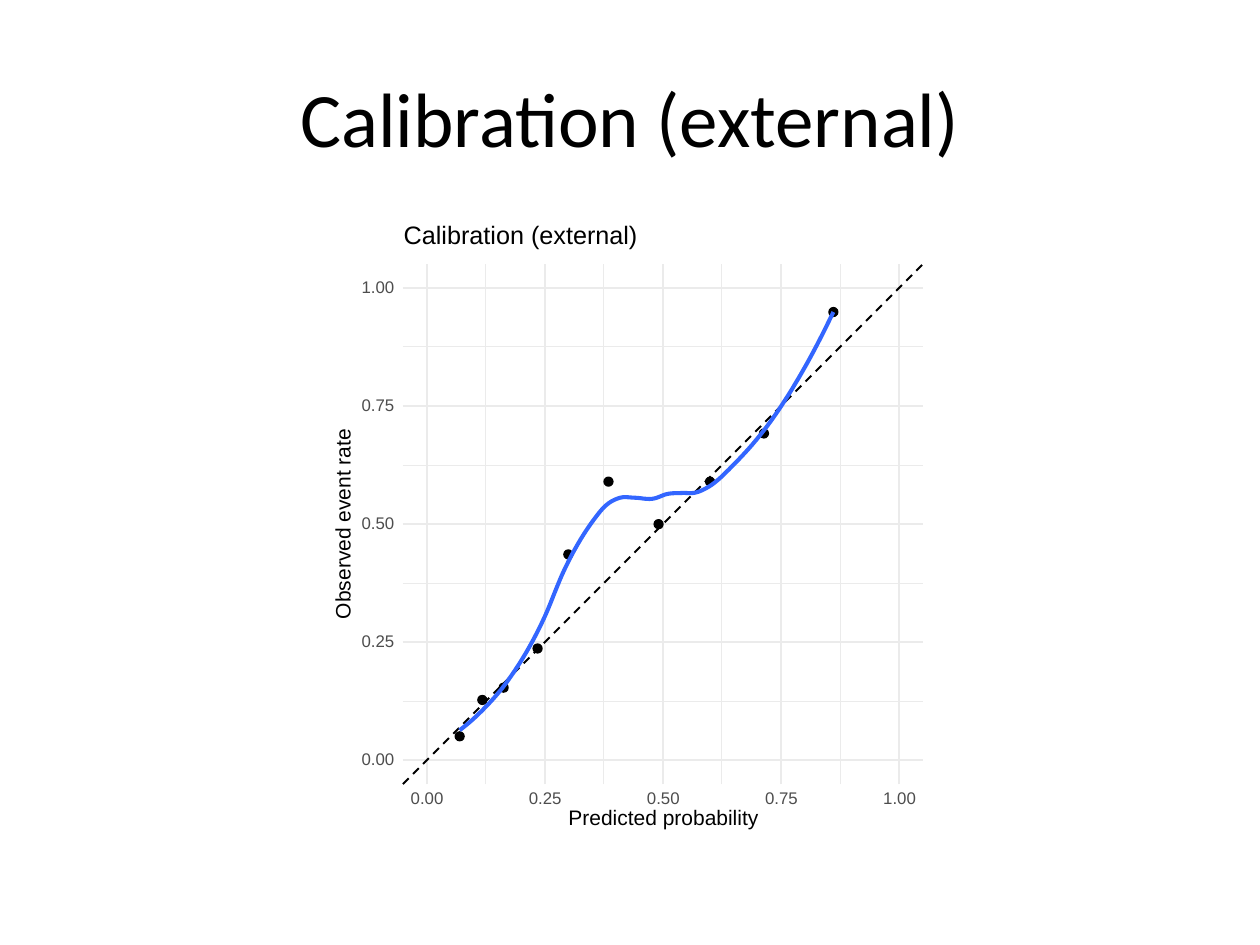
from dataclasses import dataclass
from itertools import pairwise
from typing import Any, NamedTuple

from lxml import etree
from pptx import Presentation
from pptx import util as u
from pptx.dml.color import RGBColor
from pptx.enum import dml, shapes, text
from pptx.oxml.ns import qn

COLORS = {
    "paper": "FFFFFF",
    "grid": "EBEBEB",
    "ink": "000000",
    "tick": "4D4D4D",
    "curve": "3366FF",
}


class Rate(NamedTuple):
    predicted: float
    observed: float


ORIGIN_X, ORIGIN_Y = 8.6, 15.33
CM_PER_PERCENT = 0.09525
LOW, HIGH = -5, 105
TICK_STEP = 25
MAJOR = [index * TICK_STEP for index in range(5)]
MINOR = [(before + after) / 2 for before, after in pairwise(MAJOR)]
DOT = 0.18
STEPS_PER_SPAN = 10

POINTS = [Rate(*pair) for pair in (
    (7, 5.1), (11.8, 12.8), (16.3, 15.4), (23.5, 23.7), (30, 43.6),
    (38.5, 59), (49.1, 50), (60, 59), (71.4, 69.2), (86.1, 94.9),
)]
KNOTS = [Rate(*pair) for pair in (
    (7, 6.4), (12, 10.8), (17, 16.6), (25, 30.4), (29, 40), (35, 50.4),
    (38, 54), (41, 55.6), (44, 55.6), (48, 55.4), (51, 56.4), (54, 56.6),
    (57, 56.7), (60, 58.1), (65, 62.6), (73, 72), (80, 83.1), (86.1, 94.9),
)]


@dataclass
class Label:
    words: str
    left: float
    top: float
    width: float
    height: float
    size: float
    color: str = "ink"
    font: str = "Arial"
    rotation: int = 0
    wrap: bool = False
    align: Any = text.PP_ALIGN.LEFT
    spacing: Any = None


@dataclass
class Stroke:
    start: Rate
    end: Rate
    color: str
    width: float
    dash: Any = None


def apply(target: Any, values: dict[str, Any]) -> None:
    for name, value in values.items():
        setattr(target, name, value)


def rgb(name: str) -> RGBColor:
    return RGBColor.from_string(COLORS[name])


def place(rate: Rate) -> tuple[u.Length, u.Length]:
    return (u.Cm(ORIGIN_X + rate.predicted * CM_PER_PERCENT),
            u.Cm(ORIGIN_Y - rate.observed * CM_PER_PERCENT))


def set_line(line: Any, color: str, width: float) -> None:
    line.color.rgb = rgb(color)
    line.width = u.Pt(width)


def set_fill(shape: Any, color: str) -> None:
    shape.shadow.inherit = False
    shape.fill.solid()
    shape.fill.fore_color.rgb = rgb(color)


def knot_slopes(knots: list[Rate]) -> list[float]:
    gaps = [after.predicted - before.predicted for before, after in pairwise(knots)]
    rises = [after.observed - before.observed for before, after in pairwise(knots)]
    secants = [rise / gap for rise, gap in zip(rises, gaps)]
    inner = [
        (gaps[i + 1] * secants[i] + gaps[i] * secants[i + 1]) / (gaps[i] + gaps[i + 1])
        for i in range(len(gaps) - 1)
    ]
    return [2 * secants[0] - inner[0], *inner, 2 * secants[-1] - inner[-1]]


def smooth_curve(knots: list[Rate]) -> list[Rate]:
    curve = [knots[0]]
    for (start, slope_in), (end, slope_out) in pairwise(zip(knots, knot_slopes(knots))):
        gap = end.predicted - start.predicted
        for step in range(1, STEPS_PER_SPAN + 1):
            t = step / STEPS_PER_SPAN
            blend = t * t * (3 - 2 * t)
            bend = gap * t * (1 - t) * (slope_in * (1 - t) - slope_out * t)
            height = start.observed + (end.observed - start.observed) * blend + bend
            curve.append(Rate(start.predicted + gap * t, height))
    return curve


def add_label(page: Any, label: Label) -> None:
    box = page.shapes.add_textbox(
        u.Cm(label.left), u.Cm(label.top), u.Cm(label.width), u.Cm(label.height)
    )
    box.rotation = label.rotation
    apply(box.text_frame, {
        "margin_left": 0, "margin_right": 0, "margin_top": 0, "margin_bottom": 0,
        "word_wrap": label.wrap, "vertical_anchor": text.MSO_ANCHOR.MIDDLE,
    })
    para = box.text_frame.paragraphs[0]
    apply(para, {"alignment": label.align, "line_spacing": label.spacing or u.Pt(label.size)})
    span = para.add_run()
    span.text = label.words
    apply(span.font, {"name": label.font, "size": u.Pt(label.size)})
    span.font.color.rgb = rgb(label.color)


def add_stroke(page: Any, stroke: Stroke) -> None:
    connector = page.shapes.add_connector(
        shapes.MSO_CONNECTOR.STRAIGHT, *place(stroke.start), *place(stroke.end)
    )
    set_line(connector.line, stroke.color, stroke.width)
    if stroke.dash:
        connector.line.dash_style = stroke.dash
    etree.SubElement(connector._element.spPr, qn("a:effectLst"))


def add_panel(page: Any, left: float, width: float, outlined: bool) -> None:
    panel = page.shapes.add_shape(
        shapes.MSO_SHAPE.RECTANGLE, u.Cm(left), u.Cm(4.45), u.Cm(width), u.Cm(12.57)
    )
    set_fill(panel, "paper")
    if outlined:
        set_line(panel.line, "paper", 0.75)
    else:
        panel.line.fill.background()


def add_grid(page: Any, values: list[float], width: float) -> None:
    for value in values:
        add_stroke(page, Stroke(Rate(LOW, value), Rate(HIGH, value), "grid", width))
    for value in values:
        add_stroke(page, Stroke(Rate(value, LOW), Rate(value, HIGH), "grid", width))


def add_dot(page: Any, point: Rate) -> None:
    size = u.Cm(DOT)
    left, top = (center - size // 2 for center in place(point))
    dot = page.shapes.add_shape(shapes.MSO_SHAPE.OVAL, left, top, size, size)
    set_fill(dot, "ink")
    set_line(dot.line, "ink", 0.77)


def add_curve(page: Any, knots: list[Rate]) -> None:
    first, *rest = map(place, smooth_curve(knots))
    builder = page.shapes.build_freeform(*first)
    builder.add_line_segments(rest, close=False)
    curve = builder.convert_to_shape()
    curve.shadow.inherit = False
    curve.fill.background()
    set_line(curve.line, "curve", 2.33)


def add_ticks(page: Any, value: float) -> None:
    words = f"{value / 100:.2f}"
    offset = value * CM_PER_PERCENT
    for left, top in ((7.29, ORIGIN_Y - offset - 0.12), (ORIGIN_X + offset - 0.32, 16)):
        add_label(page, Label(words, left, top, 0.66, 0.25, 9.6, "tick"))


def main() -> None:
    deck = Presentation()
    apply(deck, {"slide_width": u.Cm(25.4), "slide_height": u.Cm(19.05)})
    page = deck.slides.add_slide(deck.slide_layouts[6])

    add_label(page, Label("Calibration (external)", 1.27, 0.76, 22.86, 3.18, 44,
                          font="Calibri", wrap=True, align=text.PP_ALIGN.CENTER, spacing=1.0))
    add_panel(page, 1.27, 22.86, True)
    add_panel(page, 6.58, 12.24, False)
    add_grid(page, MINOR, 0.58)
    add_grid(page, MAJOR, 1.16)
    add_stroke(page, Stroke(Rate(LOW, LOW), Rate(HIGH, HIGH), "ink", 1.16, dml.MSO_LINE.DASH))
    for point in POINTS:
        add_dot(page, point)
    add_curve(page, KNOTS)
    for value in MAJOR:
        add_ticks(page, value)

    add_label(page, Label("Predicted probability", 11.46, 16.33, 3.84, 0.38, 12))
    add_label(page, Label("Observed event rate", 5.02, 10.41, 3.84, 0.3, 12, rotation=270))
    add_label(page, Label("Calibration (external)", 8.14, 4.53, 4.72, 0.48, 14.4))
    deck.save("out.pptx")


if __name__ == "__main__":
    main()
